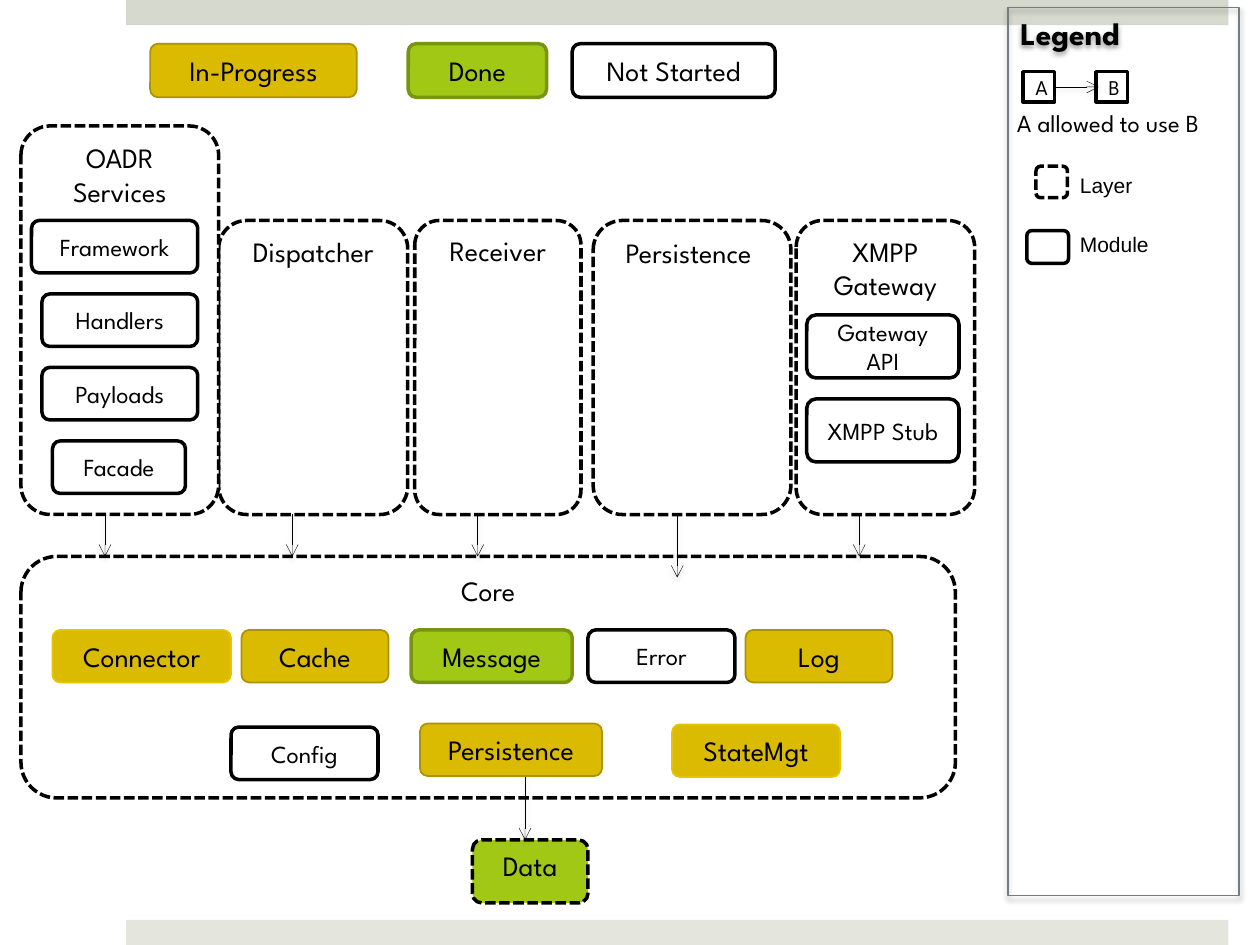
from lxml.etree import SubElement
from pptx import Presentation
from pptx.dml.color import RGBColor
from pptx.enum.dml import MSO_LINE
from pptx.enum.shapes import MSO_CONNECTOR, MSO_SHAPE as Kind
from pptx.enum.text import MSO_ANCHOR as Anchor, PP_ALIGN as Align
from pptx.oxml.ns import qn
from pptx.util import Pt

BLACK = RGBColor(0x00, 0x00, 0x00)
WHITE = RGBColor(0xFF, 0xFF, 0xFF)
GOLD = RGBColor(0xDA, 0xBB, 0x02)
BRONZE = RGBColor(0xAB, 0x93, 0x01)
YELLOW = RGBColor(0xE6, 0xC5, 0x00)
GREEN = RGBColor(0xA2, 0xC8, 0x16)
OLIVE = RGBColor(0x78, 0x94, 0x10)
SLATE = RGBColor(0x72, 0x7D, 0x82)
SAGE = RGBColor(0xD6, 0xD9, 0xCD)
PALE = RGBColor(0xE4, 0xE6, 0xDE)
FONT = "League Spartan"

# Module status: fill, outline, outline width, text size
OPEN = (WHITE, BLACK, 2, 14)
BUSY = (GOLD, BRONZE, 1, 16)
BRIGHT = (GOLD, YELLOW, 1, 16)
DONE = (GREEN, OLIVE, 2, 16)


def write(shape, text, size, align=Align.LEFT, font=FONT, bold=False):
    frame = shape.text_frame
    frame.text = text
    for para in frame.paragraphs:
        para.alignment = align
        para.font.name = font
        para.font.size = Pt(size)
        para.font.bold = bold
        para.font.color.rgb = BLACK


def cast(shape, alpha, dist):
    """Give a shape or connector a soft shadow straight below it."""
    props = shape.element.spPr
    effects = props.find(qn("a:effectLst"))
    if effects is None:
        effects = SubElement(props, qn("a:effectLst"))
    shade = SubElement(effects, qn("a:outerShdw"), blurRad=str(Pt(3.1)),
                       dist=str(Pt(dist)), dir="5400000", rotWithShape="0")
    color = SubElement(shade, qn("a:srgbClr"), val=str(BLACK))
    SubElement(color, qn("a:alpha"), val=str(alpha * 1000))


def draw(slide, kind, box, fill=None, line=None, width=2):
    shape = slide.shapes.add_shape(kind, *map(Pt, box))
    shape.shadow.inherit = False
    if kind == Kind.ROUNDED_RECTANGLE:
        shape.adjustments[0] = 0.148
    if fill is None:
        shape.fill.background()
    else:
        shape.fill.solid()
        shape.fill.fore_color.rgb = fill
    if line is None:
        shape.line.fill.background()
    else:
        shape.line.color.rgb = line
        shape.line.width = Pt(width)
    return shape


def arrow(slide, *ends):
    link = slide.shapes.add_connector(MSO_CONNECTOR.STRAIGHT, *map(Pt, ends))
    link.line.color.rgb = BLACK
    link.line.width = Pt(0.25)
    SubElement(link.element.spPr.find(qn("a:ln")), qn("a:tailEnd"), type="arrow")
    cast(link, 35, 1.8)


def module(slide, box, text="", style=OPEN, size=None):
    fill, line, width, normal = style
    shape = draw(slide, Kind.ROUNDED_RECTANGLE, box, fill, line, width)
    shape.text_frame.vertical_anchor = Anchor.MIDDLE
    if text:
        write(shape, text, size or normal, Align.CENTER)


def layer(slide, box, title="", parts=(), fill=WHITE):
    """Dashed layer; parts are (text, left, top, width, height, style)."""
    shape = draw(slide, Kind.ROUNDED_RECTANGLE, box, fill, BLACK)
    shape.line.dash_style = MSO_LINE.SQUARE_DOT
    shape.text_frame.vertical_anchor = Anchor.TOP
    if title:
        write(shape, title, 16, Align.CENTER)
    x, y = box[:2]
    for text, left, top, width, height, style in parts:
        module(slide, (x + left, y + top, width, height), text, style)


def label(slide, box, text, size, font=FONT):
    area = slide.shapes.add_textbox(*map(Pt, box))
    area.text_frame.word_wrap = False
    write(area, text, size, font=font)


def legend(slide, box):
    x, y = box[:2]
    panel = draw(slide, Kind.RECTANGLE, box, None, SLATE, 0.75)
    panel.text_frame.vertical_anchor = Anchor.TOP
    write(panel, "Legend", 18, bold=True)
    cast(panel, 38, 1.6)
    for text, left in (("A", 8.6), ("B", 50.4)):
        node = draw(slide, Kind.RECTANGLE, (x + left, y + 36.7, 18, 17.3), WHITE, BLACK)
        node.text_frame.vertical_anchor = Anchor.MIDDLE
        write(node, text, 12)
    arrow(slide, x + 26.6, y + 45.4, x + 51.8, y + 45.4)
    label(slide, (x - 2, y + 54, 121, 24.5), "A allowed to use B", 14)
    layer(slide, (x + 16, y + 90.7, 18, 18))
    label(slide, (x + 34, y + 90.7, 44.6, 21.6), "Layer", 12, "Arial")
    module(slide, (x + 10.8, y + 127.5, 23.8, 18.7))
    label(slide, (x + 34, y + 124.6, 54, 21.6), "Module", 12, "Arial")


def keys(slide, x, y):
    for text, left, width, style in (("In-Progress", 0, 118, BUSY),
                                     ("Done", 147.5, 79, DONE),
                                     ("Not Started", 241.2, 116, OPEN)):
        module(slide, (x + left, y, width, 30.6), text, style, 16)


def columns(slide, base):
    """Upper layers standing on one base line, each with an arrow to the core."""
    oadr = [(text, left, 54 + 42 * i, width, 30, OPEN)
            for i, (text, left, width) in enumerate((
                ("Framework", 6, 95), ("Handlers", 12, 89),
                ("Payloads", 12, 89), ("Facade", 18, 76)))]
    xmpp = [(text, 6, 54 + 48 * i, 87, 36, OPEN)
            for i, text in enumerate(("Gateway API", "XMPP Stub"))]
    for title, left, width, height, parts, tip, drop in (
            ("XMPP\nGateway", 455, 102, 168, xmpp, 491, 24),
            ("Persistence ", 339, 113, 168, (), 387, 36),
            ("Receiver", 237, 95, 168, (), 273, 24),
            ("Dispatcher", 125, 108, 168, (), 167, 24),
            ("OADR\nServices", 12, 113, 222, oadr, 60, 24)):
        layer(slide, (left, base - height, width, height), title, parts)
        arrow(slide, tip, base, tip, base + drop)


def core(slide, box):
    layer(slide, box, "Core", (
        ("Connector", 18, 42, 102, 30, BRIGHT),
        ("Cache", 126, 42, 84, 30, BUSY),
        ("Message", 223, 42, 92, 30, DONE),
        ("Error", 324, 42, 84, 30, OPEN),
        ("Log", 414, 42, 84, 30, BUSY),
        ("Config", 120, 97.5, 84, 30, OPEN),
        ("Persistence", 228, 95.5, 104, 30, BUSY),
        ("StateMgt", 372, 96, 96, 30, BRIGHT)))


def main():
    deck = Presentation()
    deck.slide_width, deck.slide_height = Pt(720), Pt(540)
    slide = deck.slides.add_slide(deck.slide_layouts[6])
    for top, color in ((0, SAGE), (525.6, PALE)):
        draw(slide, Kind.RECTANGLE, (72, top, 630, 14.4), color)
    core(slide, (12, 318, 534, 138))
    columns(slide, 294)
    layer(slide, (270, 480, 66, 36), "Data", fill=GREEN)
    arrow(slide, 300, 444, 300, 480)
    keys(slide, 85.8, 25)
    legend(slide, (576, 4.3, 132, 507.6))
    deck.save("out.pptx")


if __name__ == "__main__":
    main()
